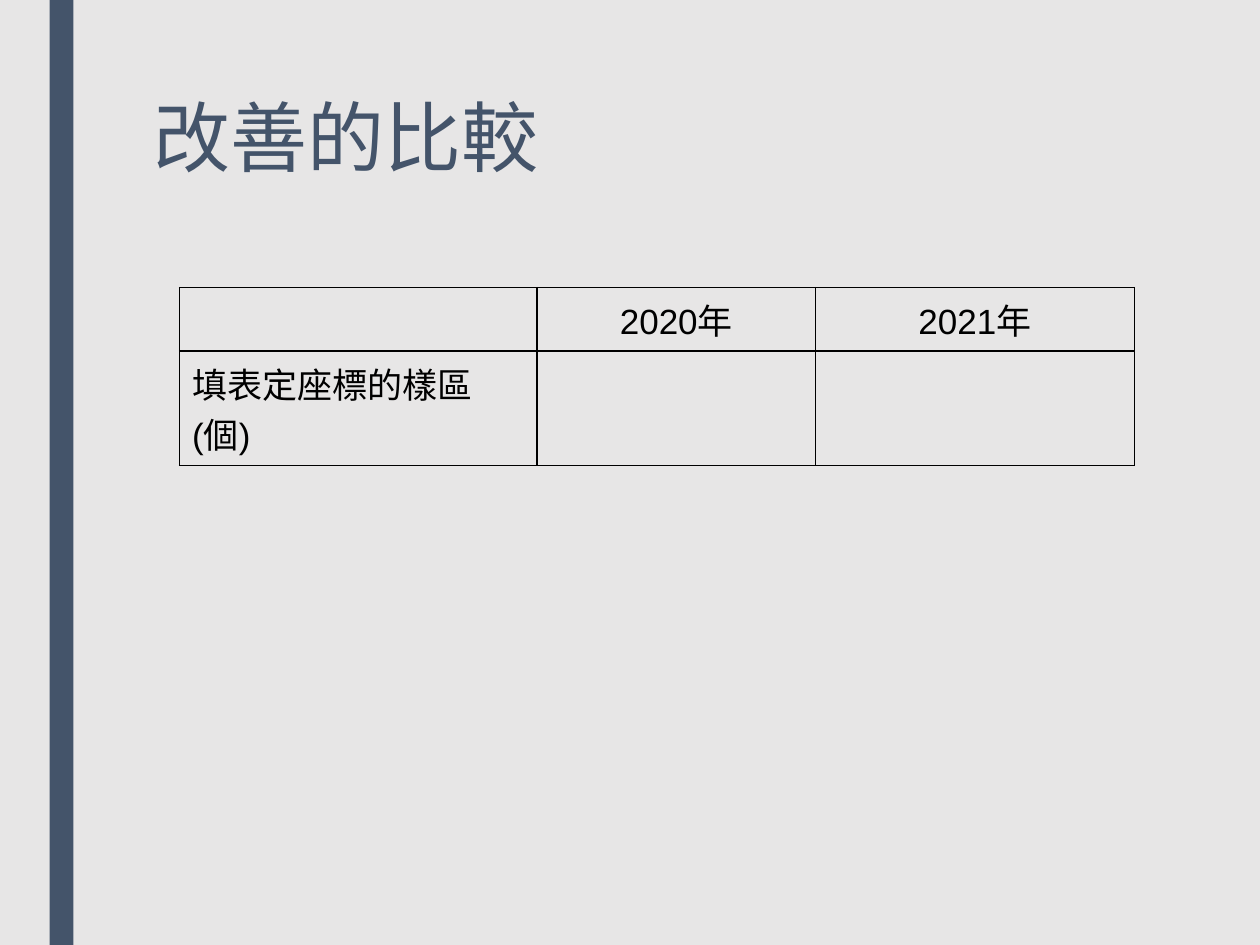
from lxml.etree import SubElement
from pptx import Presentation
from pptx.dml.color import RGBColor
from pptx.enum.shapes import MSO_SHAPE
from pptx.enum.text import MSO_ANCHOR, PP_ALIGN
from pptx.oxml.ns import qn
from pptx.util import Cm, Pt

SLATE = RGBColor(0x44, 0x54, 0x6A)
PALE_GRAY = RGBColor(0xE7, 0xE6, 0xE6)
BLACK = RGBColor(0, 0, 0)
FONT = "Arial"


def style_paragraph(para, size, color, align):
    para.alignment = align
    para.font.name = FONT
    para.font.size = Pt(size)
    para.font.color.rgb = color


def add_borders(cell, color, width):
    properties = cell._tc.get_or_add_tcPr()
    for position, side in enumerate(("lnL", "lnR", "lnT", "lnB")):
        line = SubElement(properties, qn(f"a:{side}"), w=str(Pt(width)))
        fill = SubElement(line, qn("a:solidFill"))
        SubElement(fill, qn("a:srgbClr"), val=str(color))
        properties.insert(position, line)


deck = Presentation()
deck.slide_width = Cm(25.4)
deck.slide_height = Cm(19.05)
page = deck.slides.add_slide(deck.slide_layouts[5])
page.background.fill.solid()
page.background.fill.fore_color.rgb = PALE_GRAY

stripe = page.shapes.add_shape(MSO_SHAPE.RECTANGLE, Cm(1), 0, Cm(0.48), deck.slide_height)
stripe.shadow.inherit = False
stripe.fill.solid()
stripe.fill.fore_color.rgb = SLATE
stripe.line.fill.background()

title = page.shapes.title
title.left, title.top, title.width, title.height = Cm(2.84), Cm(1.9), Cm(20.02), Cm(2.1)
title.text_frame.text = "改善的比較"
title.text_frame.vertical_anchor = MSO_ANCHOR.TOP
heading = title.text_frame.paragraphs[0]
heading.line_spacing = 0.89
style_paragraph(heading, 44, SLATE, PP_ALIGN.LEFT)

rows = [
    ["", "2020年", "2021年"],
    ["填表定座標的樣區 (個)", "", ""],
]
column_widths = [Cm(7.21), Cm(5.61), Cm(6.43)]
table = page.shapes.add_table(
    len(rows), len(column_widths), Cm(3.62), Cm(5.8), sum(column_widths), Cm(2.08)
).table
for column, width in zip(table.columns, column_widths):
    column.width = width

for row_index, texts in enumerate(rows):
    for column_index, text in enumerate(texts):
        cell = table.cell(row_index, column_index)
        cell.text = text
        cell.fill.background()
        add_borders(cell, BLACK, 1)
        align = PP_ALIGN.CENTER if column_index else PP_ALIGN.LEFT
        para = cell.text_frame.paragraphs[0]
        style_paragraph(para, 20, BLACK, align)
        para.font.bold = False

deck.save("out.pptx")
